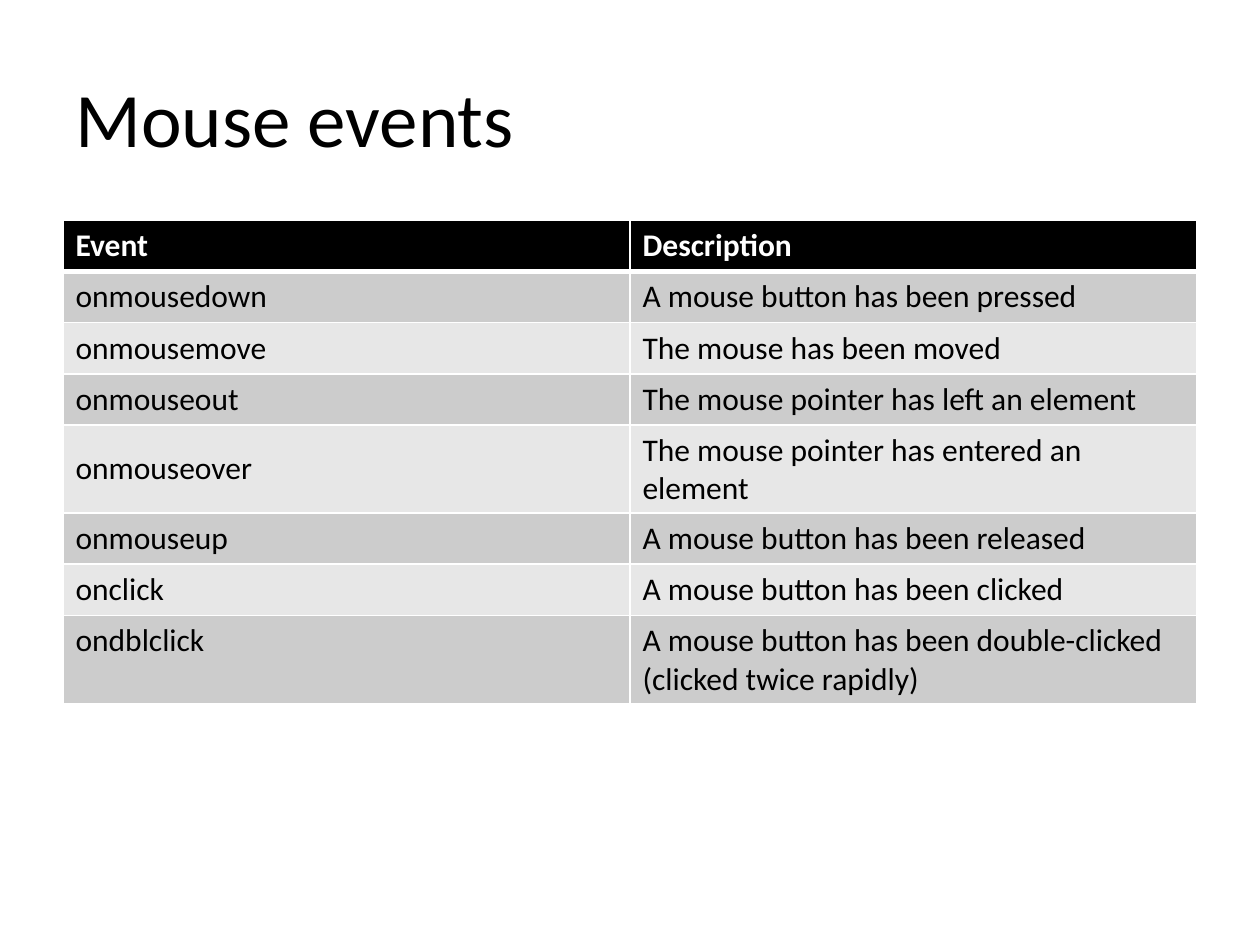
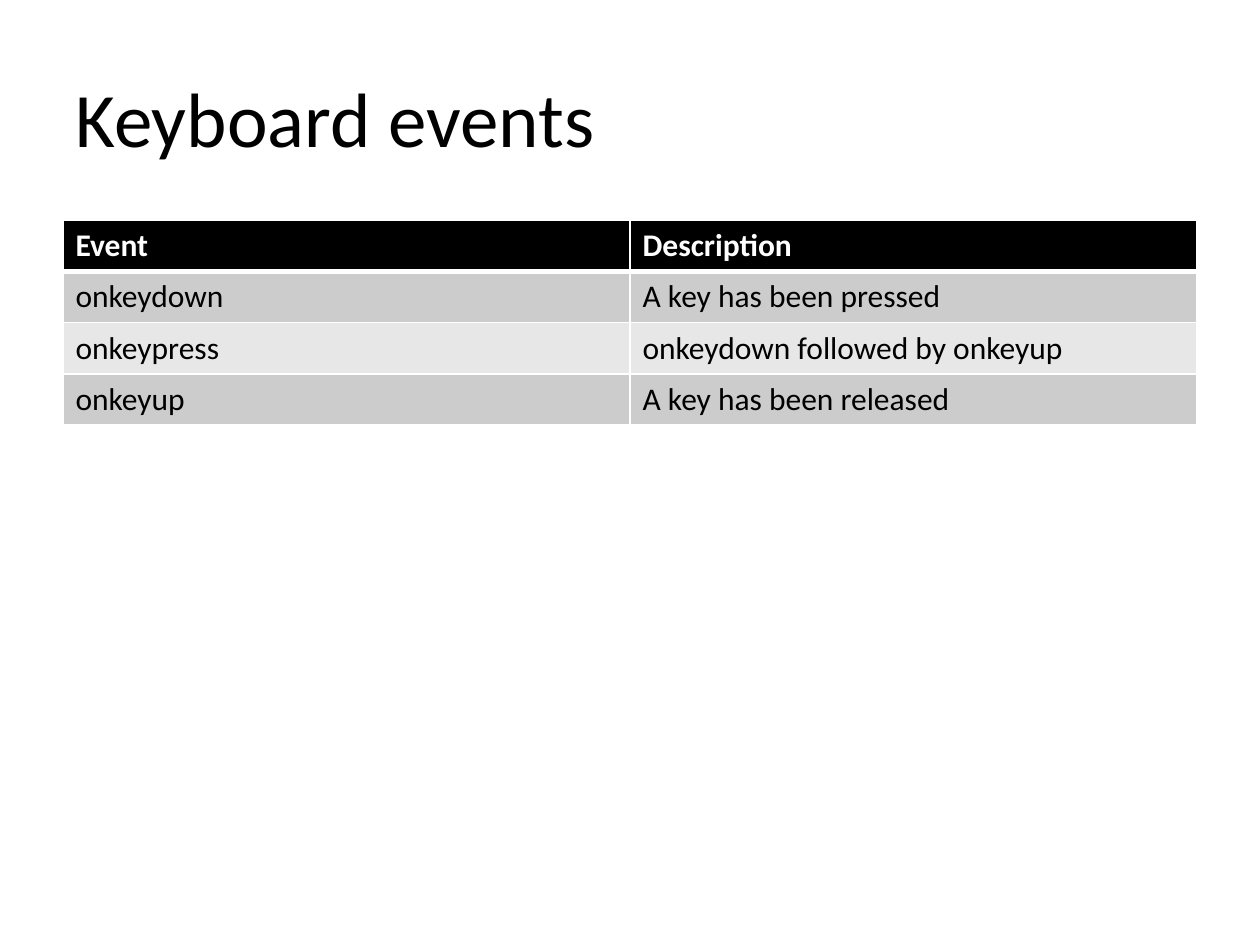
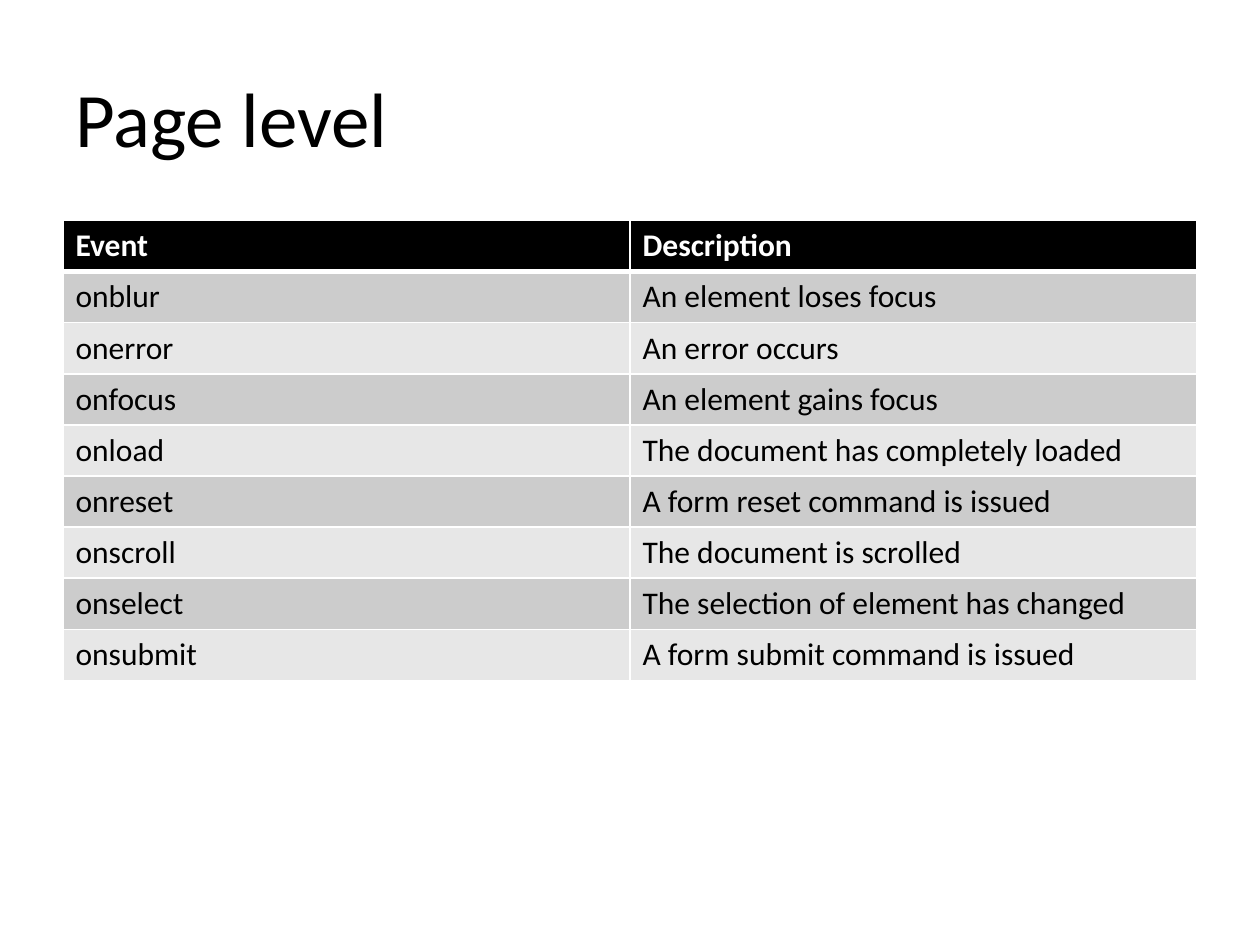
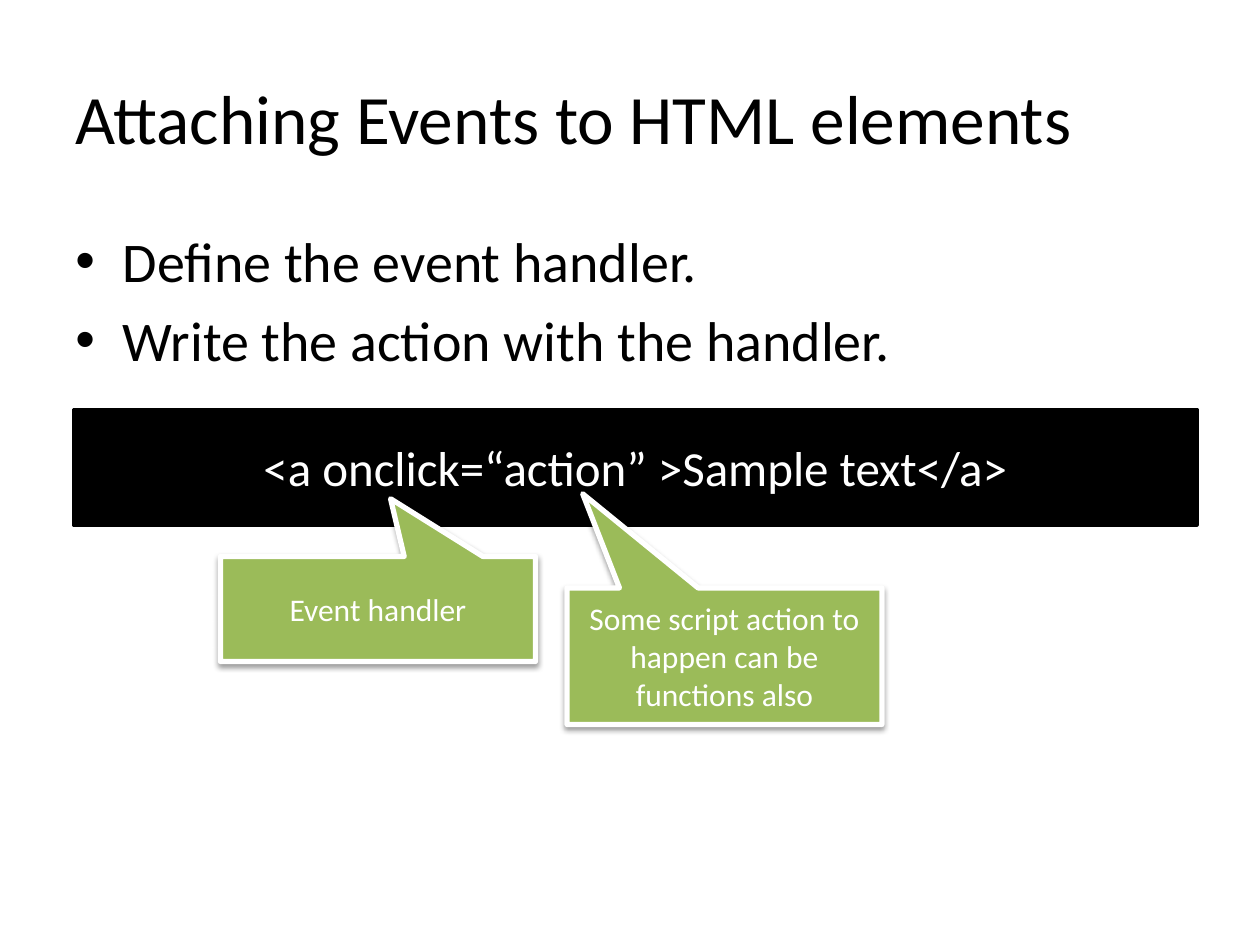
from lxml import etree
from pptx import Presentation
from pptx.dml.color import RGBColor
from pptx.enum.shapes import MSO_SHAPE
from pptx.enum.text import MSO_ANCHOR, PP_ALIGN
from pptx.oxml.ns import qn
from pptx.util import Pt

MIDDLE, TOP = MSO_ANCHOR.MIDDLE, MSO_ANCHOR.TOP
LEFT, CENTER = PP_ALIGN.LEFT, PP_ALIGN.CENTER
RECTANGLE, CALLOUT = MSO_SHAPE.RECTANGLE, MSO_SHAPE.RECTANGULAR_CALLOUT

COLORS = {
    "text": "000000",
    "light": "FFFFFF",
    "header": "000000",
    "odd row": "CCCCCC",
    "even row": "E7E7E7",
    "code": "000000",
    "callout": "9BBB59",
}
FONT = "Calibri"
MARGIN, CONTENT_TOP, CONTENT_WIDTH = 36, 126, 648
ROW_HEIGHT = 29.2

# Event tables: title, then event and description pairs
EVENT_TABLES = [
    ("Mouse events", [
        ("onmousedown", "A mouse button has been pressed"),
        ("onmousemove", "The mouse has been moved"),
        ("onmouseout", "The mouse pointer has left an element"),
        ("onmouseover", "The mouse pointer has entered an element"),
        ("onmouseup", "A mouse button has been released"),
        ("onclick", "A mouse button has been clicked"),
        ("ondblclick", "A mouse button has been double-clicked (clicked twice rapidly)"),
    ]),
    ("Keyboard events", [
        ("onkeydown", "A key has been pressed"),
        ("onkeypress", "onkeydown followed by onkeyup"),
        ("onkeyup", "A key has been released"),
    ]),
    ("Page level", [
        ("onblur", "An element loses focus"),
        ("onerror", "An error occurs"),
        ("onfocus", "An element gains focus"),
        ("onload", "The document has completely loaded"),
        ("onreset", "A form reset command is issued"),
        ("onscroll", "The document is scrolled"),
        ("onselect", "The selection of element has changed"),
        ("onsubmit", "A form submit command is issued"),
    ]),
]


def write(frame, lines, size, color="text", align=LEFT, anchor=MIDDLE, bold=False):
    frame.word_wrap = True
    frame.vertical_anchor = anchor
    frame.text = "\n".join(lines)
    for paragraph in frame.paragraphs:
        paragraph.alignment = align
        font = paragraph.runs[0].font
        for name, value in {"name": FONT, "size": Pt(size), "bold": bold}.items():
            setattr(font, name, value)
        font.color.rgb = RGBColor.from_string(COLORS[color])


def add_titled_slide(title, size=44):
    slide = prs.slides.add_slide(prs.slide_layouts[6])
    box = slide.shapes.add_textbox(Pt(MARGIN), Pt(21.6), Pt(CONTENT_WIDTH), Pt(90))
    write(box.text_frame, [title], size)
    return slide


prs = Presentation()
prs.slide_width, prs.slide_height = Pt(720), Pt(540)

# Slides 1 to 3: event tables
for title, events in EVENT_TABLES:
    slide = add_titled_slide(title)
    rows = [("Event", "Description")] + events
    table = slide.shapes.add_table(
        len(rows), 2, Pt(MARGIN), Pt(CONTENT_TOP),
        Pt(CONTENT_WIDTH), Pt(ROW_HEIGHT * len(rows))).table
    table.horz_banding = False
    for r, row in enumerate(rows):
        table.rows[r].height = Pt(ROW_HEIGHT)
        band = "header" if r == 0 else "odd row" if r % 2 else "even row"
        borders = {"lnL": 1, "lnR": 1, "lnT": 3 if r == 1 else 1, "lnB": 3 if r == 0 else 1}
        for c, text in enumerate(row):
            cell = table.cell(r, c)
            write(cell.text_frame, [text], 18, "light" if r == 0 else "text", bold=r == 0)
            cell.vertical_anchor = TOP if text == "ondblclick" else MIDDLE
            for side, width in borders.items():
                line = etree.SubElement(cell._tc.get_or_add_tcPr(), qn("a:" + side), w=str(Pt(width)))
                fill = etree.SubElement(line, qn("a:solidFill"))
                etree.SubElement(fill, qn("a:srgbClr"), val=COLORS["light"])
            cell.fill.solid()
            cell.fill.fore_color.rgb = RGBColor.from_string(COLORS[band])

# Slide 4: attaching events
slide = add_titled_slide("Attaching Events to HTML elements", 39.6)
steps = slide.shapes.add_textbox(Pt(MARGIN), Pt(CONTENT_TOP), Pt(CONTENT_WIDTH), Pt(356.4))
write(steps.text_frame, ["Define the event handler.", "Write the action with the handler."],
      32, anchor=TOP)
for step in steps.text_frame.paragraphs:
    step.space_before = Pt(6.4)
    properties = step._p.get_or_add_pPr()
    properties.set("marL", str(Pt(27)))
    properties.set("indent", str(Pt(-27)))
    etree.SubElement(properties, qn("a:buFont"), typeface="Arial")
    etree.SubElement(properties, qn("a:buChar"), char="•")

# Code bar and the callouts that point into it
BLOCKS = [
    (RECTANGLE, (42, 234, 642, 66), "code", "code", 2, 28, (),
     "<a onclick=“action” >Sample text</a>"),
    (CALLOUT, (126, 318, 180, 60), "callout", "light", 3, 18, (0.04, -1.05),
     "Event handler"),
    (CALLOUT, (324, 336, 180, 78), "callout", "light", 3, 18, (-0.45, -1.19),
     "Some script action to happen can be functions also"),
]
for preset, place, fill, outline, width, size, tip, text in BLOCKS:
    block = slide.shapes.add_shape(preset, *map(Pt, place))
    block.fill.solid()
    block.fill.fore_color.rgb = RGBColor.from_string(COLORS[fill])
    block.line.color.rgb = RGBColor.from_string(COLORS[outline])
    block.line.width = Pt(width)
    block.shadow.inherit = False
    write(block.text_frame, [text], size, "light", CENTER)
    for i, offset in enumerate(tip):
        block.adjustments[i] = offset
    if preset == CALLOUT:
        effects = block._element.spPr.find(qn("a:effectLst"))
        shadow = etree.SubElement(effects, qn("a:outerShdw"), blurRad=str(Pt(3.1)),
                                  dist=str(Pt(1.6)), dir="5400000", rotWithShape="0")
        shade = etree.SubElement(shadow, qn("a:srgbClr"), val=COLORS["text"])
        etree.SubElement(shade, qn("a:alpha"), val="38000")

prs.save("out.pptx")
